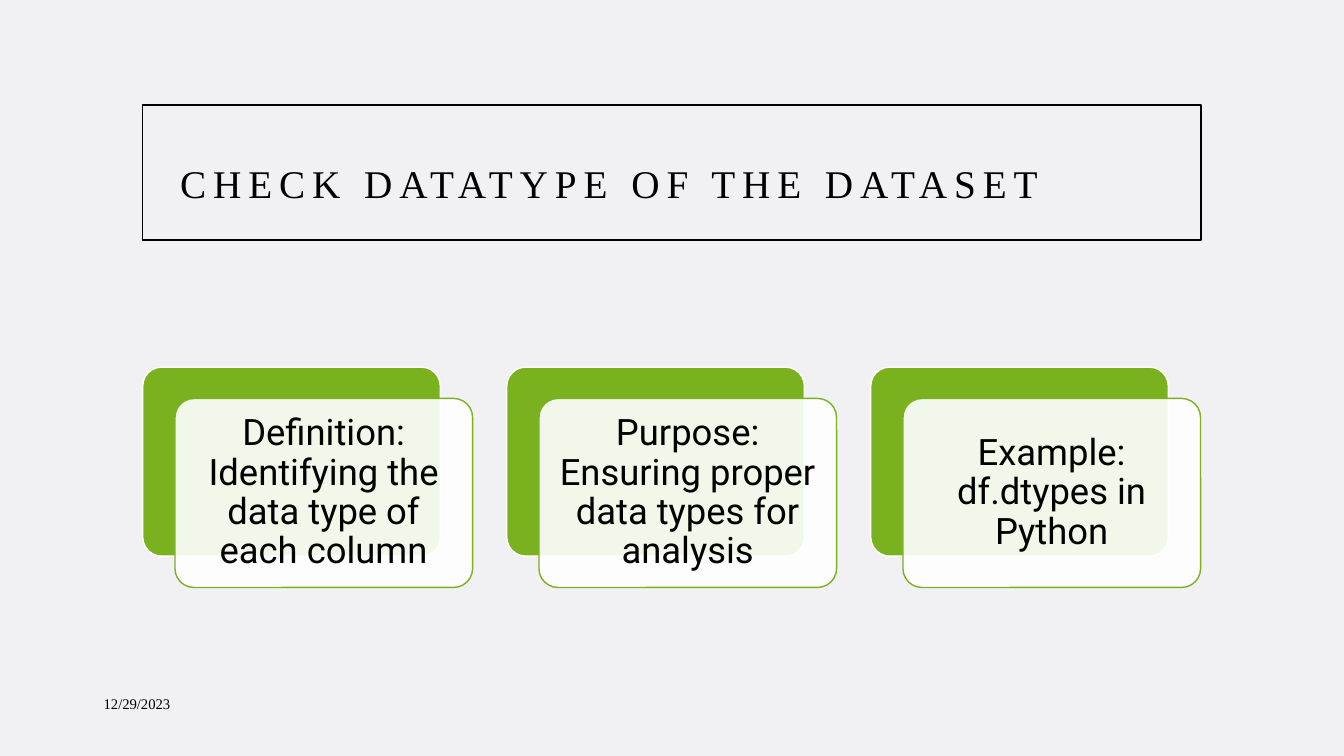
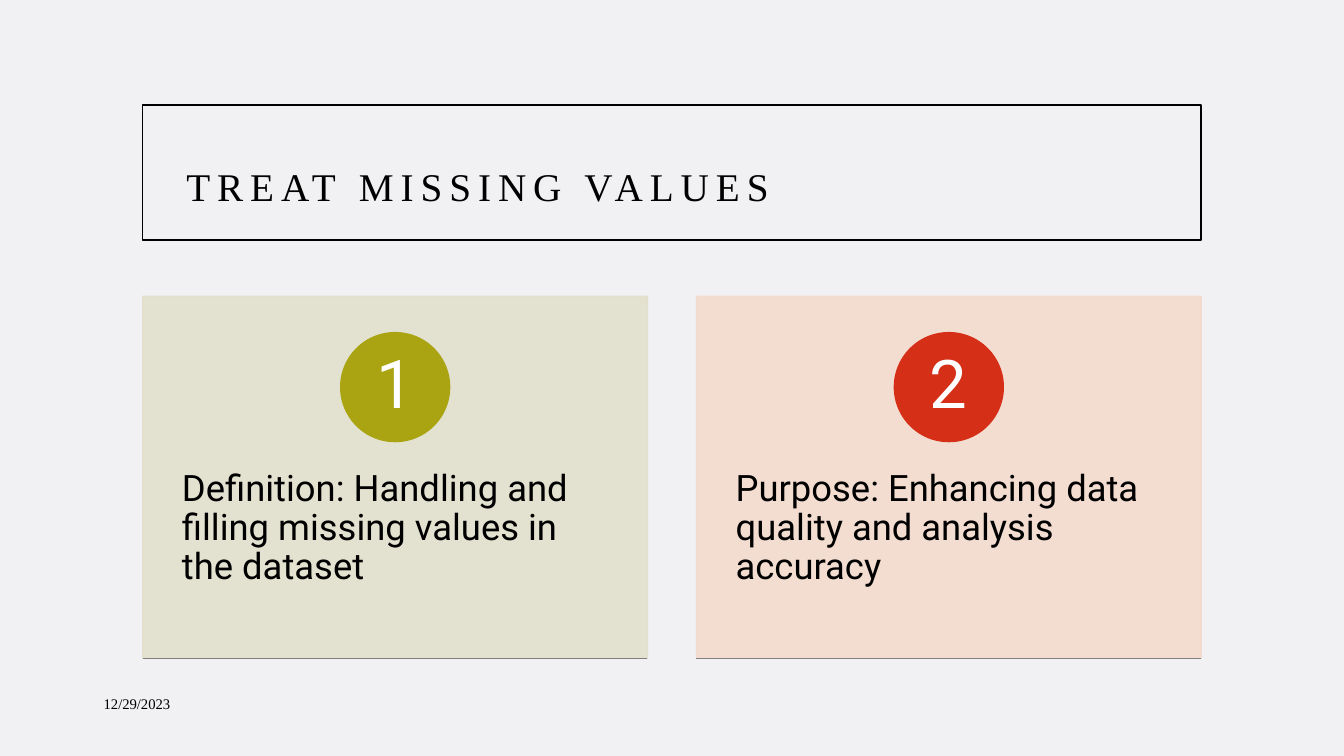
import pptx
import pptx.dml.color
import pptx.enum.shapes
import pptx.enum.text
import pptx.oxml.ns
import pptx.util
from lxml import etree

Pt = pptx.util.Pt
Shape = pptx.enum.shapes.MSO_SHAPE
Align = pptx.enum.text.PP_ALIGN
Anchor = pptx.enum.text.MSO_ANCHOR

# Shared style
BACKGROUND, BLACK, WHITE = "F1F0F3", "000000", "FFFFFF"
GREEN, RULE = "7AB11F", "808080"
TITLE_FONT, BODY_FONT = "Times New Roman", "Roboto"
LEFT, CONTENT_WIDTH = 102, 756
VEIL_OPACITY = 90


def color(value):
    return pptx.dml.color.RGBColor.from_string(value)


def set_opacity(fill_parent, percent):
    for choice in fill_parent.iter(pptx.oxml.ns.qn("a:srgbClr")):
        alpha = etree.SubElement(choice, pptx.oxml.ns.qn("a:alpha"))
        alpha.set("val", str(percent * 1000))


def add_box(slide, kind, left, top, width, height, fill=None, line=BLACK):
    shape = slide.shapes.add_shape(kind, Pt(left), Pt(top), Pt(width), Pt(height))
    shape.shadow.inherit = False
    if fill:
        shape.fill.solid()
        shape.fill.fore_color.rgb = color(fill)
    else:
        shape.fill.background()
    shape.line.color.rgb = color(line)
    shape.line.width = Pt(1)
    return shape


def write(shape, text, size, font=BODY_FONT, text_color=BLACK, align=Align.LEFT,
          anchor=Anchor.MIDDLE, spacing=0.9, margins=(7.2, 3.6, 7.2, 3.6)):
    frame = shape.text_frame
    frame.word_wrap = True
    frame.vertical_anchor = anchor
    (frame.margin_left, frame.margin_top,
     frame.margin_right, frame.margin_bottom) = map(Pt, margins)
    paragraph = frame.paragraphs[0]
    paragraph.text = text
    paragraph.alignment = align
    paragraph.line_spacing = spacing
    paragraph.font.size = Pt(size)
    paragraph.font.name = font
    paragraph.font.color.rgb = color(text_color)
    return paragraph


def add_label(slide, left, top, width, height, text, size, spacing):
    box = slide.shapes.add_textbox(Pt(left), Pt(top), Pt(width), Pt(height))
    return write(box, text, size, TITLE_FONT, spacing=spacing)


def add_framed_slide(presentation, title, title_left, title_top):
    """Slide with background, framed title and date."""
    slide = presentation.slides.add_slide(presentation.slide_layouts[6])
    slide.background.fill.solid()
    slide.background.fill.fore_color.rgb = color(BACKGROUND)
    add_box(slide, Shape.RECTANGLE, LEFT, 75, CONTENT_WIDTH, 96.5)
    heading = add_label(slide, title_left, title_top, 744, 53.3, title, 28, 1.2)
    heading.runs[0].font._element.set("spc", "500")
    add_label(slide, 67, 488, 216, 28.8, "12/29/2023", 10.5, 1)
    return slide


def add_layered_card(slide, left, text):
    """Green card with a translucent text card shifted in front of it."""
    top, width, height, shift = 262.2, 212.6, 135, 23
    back = add_box(slide, Shape.ROUNDED_RECTANGLE, left, top, width, height, GREEN, WHITE)
    front = add_box(slide, Shape.ROUNDED_RECTANGLE, left + shift, top + shift - 0.6,
                    width, height, WHITE, GREEN)
    for card in (back, front):
        card.adjustments[0] = 0.1
    set_opacity(front.fill._xPr.find(pptx.oxml.ns.qn("a:solidFill")), VEIL_OPACITY)
    write(front, text, 26, align=Align.CENTER, margins=(8.2,) * 4)


def add_numbered_panel(slide, left, width, number, text, panel_color, badge_color):
    """Tinted panel with a round number badge and a rule at its foot."""
    top, height, badge_size = 211.6, 258.6, 77.8
    panel = add_box(slide, Shape.RECTANGLE, left, top, width, height,
                    panel_color, panel_color)
    set_opacity(panel._element.spPr, VEIL_OPACITY)
    write(panel, text, 26, anchor=Anchor.TOP, margins=(28, 124, 28, 26))
    badge = add_box(slide, Shape.OVAL, left + (width - badge_size) / 2, top + 26,
                    badge_size, badge_size, badge_color, badge_color)
    write(badge, str(number), 48, text_color=WHITE, align=Align.CENTER,
          margins=(0,) * 4)
    foot = top + height
    rule = slide.shapes.add_connector(pptx.enum.shapes.MSO_CONNECTOR.STRAIGHT,
                                      Pt(left), Pt(foot), Pt(left + width), Pt(foot))
    rule.line.color.rgb = color(RULE)
    rule.line.width = Pt(0.5)
    etree.SubElement(rule._element.spPr, pptx.oxml.ns.qn("a:effectLst"))


def main():
    presentation = pptx.Presentation()
    presentation.slide_width, presentation.slide_height = Pt(960), Pt(540)

    # Data types
    slide = add_framed_slide(presentation, "CHECK DATATYPE OF THE DATASET", 121.5, 100.8)
    cards = ["Definition: Identifying the data type of each column",
             "Purpose: Ensuring proper data types for analysis",
             "Example: df.dtypes in Python"]
    for index, text in enumerate(cards):
        add_layered_card(slide, LEFT + 260 * index, text)

    # Missing values
    slide = add_framed_slide(presentation, "TREAT MISSING VALUES", 126, 103)
    panels = [("Definition: Handling and filling missing values in the dataset",
               "E2E0CC", "AAA412"),
              ("Purpose: Enhancing data quality and analysis accuracy",
               "F4DACD", "D52F17")]
    gap = 35
    width = (CONTENT_WIDTH - gap) / len(panels)
    for index, (text, panel_color, badge_color) in enumerate(panels):
        add_numbered_panel(slide, LEFT + index * (width + gap), width, index + 1,
                           text, panel_color, badge_color)

    presentation.save("out.pptx")


main()
